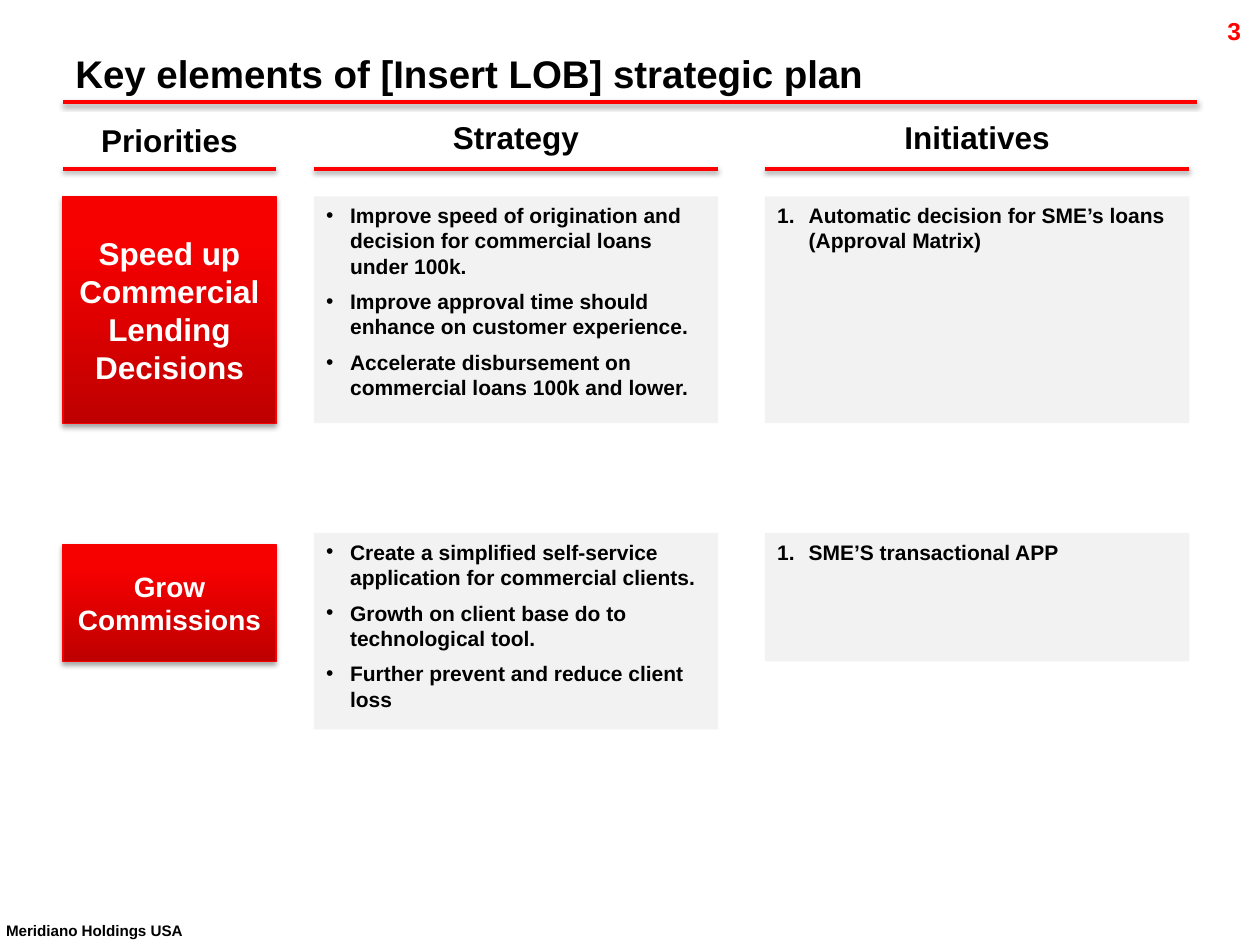
from lxml import etree
from pptx import Presentation
from pptx.dml.color import RGBColor
from pptx.enum.shapes import MSO_CONNECTOR, MSO_SHAPE
from pptx.enum.text import MSO_ANCHOR, MSO_AUTO_SIZE, PP_ALIGN
from pptx.oxml.ns import qn
from pptx.util import Inches, Pt

RECT, STRAIGHT = MSO_SHAPE.RECTANGLE, MSO_CONNECTOR.STRAIGHT
LEFT, CENTER, RIGHT = PP_ALIGN.LEFT, PP_ALIGN.CENTER, PP_ALIGN.RIGHT
TOP, MIDDLE, BOTTOM = MSO_ANCHOR.TOP, MSO_ANCHOR.MIDDLE, MSO_ANCHOR.BOTTOM
FIT = MSO_AUTO_SIZE.SHAPE_TO_FIT_TEXT

FONT = "Arial"
RED, BLACK, WHITE, GREY = "FF0000", "000000", "FFFFFF", "F2F2F2"
RED_STOPS = [(0, "BE0000"), (80, "F70000"), (100, "F80000")]

# Grid: (left, width) of each column, then the row tops
PRIORITY, STRATEGY, INITIATIVE = (0.5, 1.69), (2.49, 3.21), (6.07, 3.37)
HEADER_RULE, ROW_1, ROW_2 = 1.34, 1.56, 4.23
ROW_1_H, ROW_2_H = 1.8, 1.02
LABEL_2_H = 0.93

# Heading, column, left of the text, top of the text, width of the text
HEADERS = [
    ("Priorities", PRIORITY, 0.5, 0.91, 1.69),
    ("Strategy", STRATEGY, 2.49, 0.89, 3.21),
    ("Initiatives", INITIATIVE, 6.15, 0.89, 3.21),
]
# Label, its size, top and height; row top; strategy and its height;
# initiatives and their height
ROWS = [
    (("Speed up Commercial Lending Decisions", 18, ROW_1, ROW_1_H), ROW_1,
     (["Improve speed of origination and decision for commercial loans under 100k.",
       "Improve approval time should enhance on customer experience.",
       "Accelerate disbursement on commercial loans 100k and lower."], ROW_1_H),
     (["Automatic decision for SME’s loans (Approval Matrix)"], ROW_1_H)),
    (("Grow Commissions", 16, ROW_2 + ROW_2_H - LABEL_2_H, LABEL_2_H), ROW_2,
     (["Create a simplified self-service application for commercial clients.",
       "Growth on client base do to technological tool.",
       "Further prevent and reduce client loss"], 1.56),
     (["SME’S transactional APP"], ROW_2_H)),
]


def rgb(value):
    return RGBColor.from_string(value)


def add_sub(parent, tag, **attrs):
    return etree.SubElement(parent, qn(tag), {k: str(v) for k, v in attrs.items()})


def add_shadow(sp, alpha, dist):
    effects = add_sub(sp._element.spPr, "a:effectLst")
    shadow = add_sub(effects, "a:outerShdw", blurRad=Pt(3.1), dist=Pt(dist),
                     dir=90 * 60000, rotWithShape=0)
    color = add_sub(shadow, "a:srgbClr", val=BLACK)
    add_sub(color, "a:alpha", val=alpha * 1000)


def format_run(p, size, color):
    for r in p.runs:
        r.font.name, r.font.size, r.font.bold = FONT, Pt(size), True
        r.font.color.rgb = rgb(color)


def add_text(slide, text, box, size, color=BLACK, align=LEFT, anchor=TOP, wrap=True):
    sp = slide.shapes.add_textbox(*map(Inches, box))
    tf = sp.text_frame
    tf.word_wrap, tf.auto_size, tf.vertical_anchor = wrap, FIT, anchor
    p = tf.paragraphs[0]
    p.text, p.alignment = text, align
    format_run(p, size, color)
    return sp


def add_rule(slide, left, width, y):
    line = slide.shapes.add_connector(
        STRAIGHT, Inches(left), Inches(y), Inches(left + width), Inches(y))
    line.line.color.rgb, line.line.width = rgb(RED), Pt(2)
    add_shadow(line, 38, 1.6)


def add_rect(slide, column, top, height):
    left, width = column
    return slide.shapes.add_shape(RECT, *map(Inches, (left, top, width, height)))


def add_label(slide, text, size, top, height):
    sp = add_rect(slide, PRIORITY, top, height)
    # Three-stop gradient, dark at the bottom
    sp.fill.gradient()
    sp.fill.gradient_angle = 90
    stops = sp._element.spPr.find(".//" + qn("a:gsLst"))
    for stop in list(stops):
        stops.remove(stop)
    for position, color in RED_STOPS:
        add_sub(add_sub(stops, "a:gs", pos=position * 1000), "a:srgbClr", val=color)
    sp.line.color.rgb, sp.line.width = rgb("F90000"), Pt(0.75)
    add_shadow(sp, 35, 1.8)
    tf = sp.text_frame
    tf.word_wrap, tf.vertical_anchor = True, MIDDLE
    p = tf.paragraphs[0]
    p.text, p.alignment = text, CENTER
    format_run(p, size, WHITE)


def add_list(slide, items, column, top, height, numbered=False):
    sp = add_rect(slide, column, top, height)
    sp.shadow.inherit = False
    sp.fill.solid()
    sp.fill.fore_color.rgb = rgb(GREY)
    sp.line.fill.background()
    tf = sp.text_frame
    tf.word_wrap, tf.vertical_anchor = True, TOP
    indent = Inches(0.25 if numbered else 0.19)
    for i, item in enumerate(items):
        p = tf.add_paragraph() if i else tf.paragraphs[0]
        pPr = p._p.get_or_add_pPr()
        pPr.set("marL", str(indent))
        pPr.set("indent", str(-indent))
        add_sub(pPr, "a:buFont", typeface=FONT)
        if numbered:
            add_sub(pPr, "a:buAutoNum", type="arabicPeriod")
        else:
            add_sub(pPr, "a:buChar", char="•")
        p.text, p.alignment, p.space_after = item, LEFT, Pt(6)
        format_run(p, 12, BLACK)


def main():
    prs = Presentation()
    prs.slide_width, prs.slide_height = Inches(10), Inches(7.5)
    slide = prs.slides.add_slide(prs.slide_layouts[6])

    # Page number, title and footer
    number = add_text(slide, "3", (9.55, 0.08, 0.36, 0.34), 14, RED, RIGHT, wrap=False)
    number.text_frame.margin_left = number.text_frame.margin_right = Inches(0.06)
    add_text(slide, "Key elements of [Insert LOB] strategic plan",
             (0.5, 0.34, 9, 0.47), 22, anchor=BOTTOM)
    add_rule(slide, 0.5, 9, 0.81)
    footer = add_text(slide, "Meridiano Holdings USA", (-0.05, 7.24, 1.91, 0.35), 15,
                      anchor=MIDDLE, wrap=False)
    footer.text_frame.paragraphs[0].runs[0]._r.get_or_add_rPr().set("baseline", "30000")

    # Column headings
    for text, column, left, top, width in HEADERS:
        add_text(slide, text, (left, top, width, 0.4), 18, align=CENTER)
        add_rule(slide, *column, HEADER_RULE)

    # Priorities with their strategy and initiatives
    for label, top, (strategy, strategy_h), (initiatives, initiatives_h) in ROWS:
        add_label(slide, *label)
        add_list(slide, strategy, STRATEGY, top, strategy_h)
        add_list(slide, initiatives, INITIATIVE, top, initiatives_h, numbered=True)

    prs.save("out.pptx")


if __name__ == "__main__":
    main()
